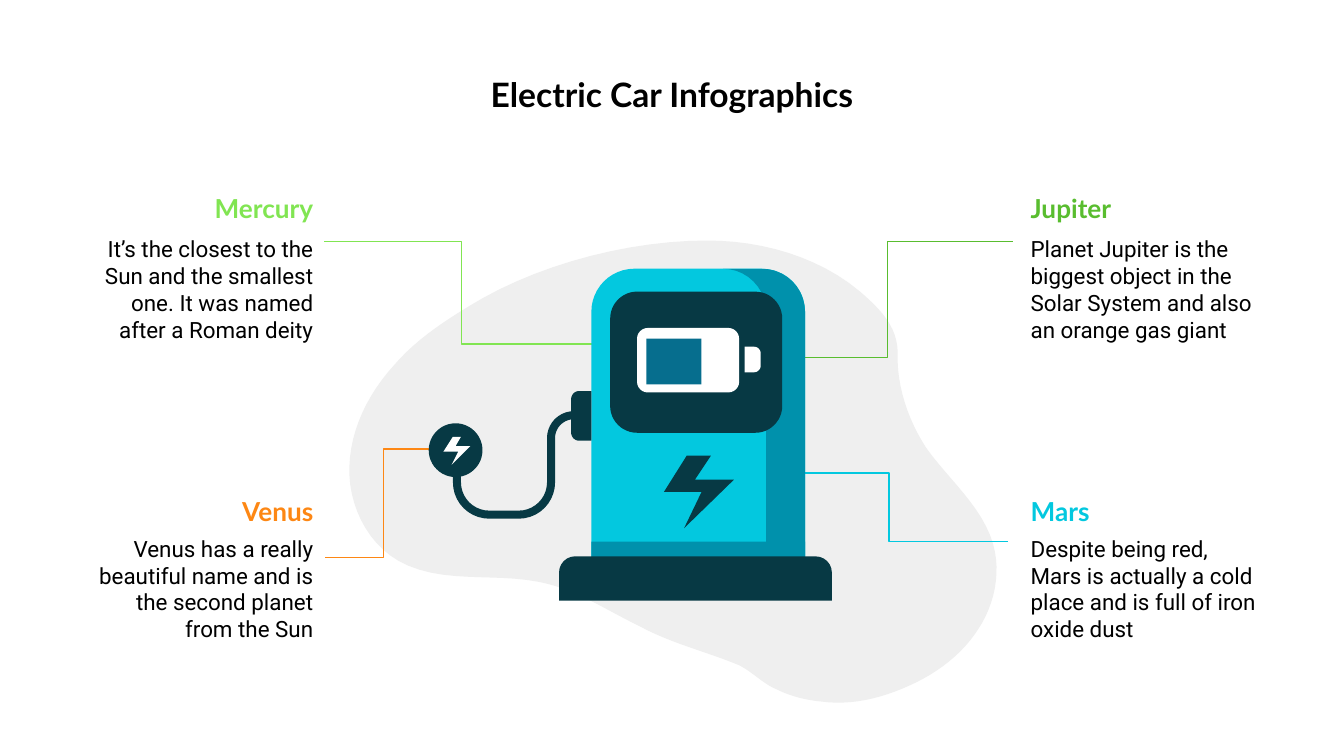
import math
from dataclasses import dataclass

from lxml import etree
from pptx import Presentation
from pptx import util as u
from pptx.dml.color import RGBColor
from pptx.enum import shapes, text
from pptx.oxml.ns import qn


@dataclass(frozen=True)
class Theme:
    heading_font: str = "Lato"
    body_font: str = "Roboto"
    title_size: int = 18
    heading_size: int = 14
    body_size: int = 12
    ink: str = "000000"
    white: str = "FFFFFF"
    backdrop: str = "EFEFEF"
    navy: str = "073944"
    cyan: str = "03C8DF"
    teal: str = "0091AC"
    charge: str = "066E8E"
    lime: str = "81E552"
    green: str = "59BD2F"
    orange: str = "FD8714"


def arc(cx, cy, radius, start, end, steps=10):
    """Points along a circle; degrees run clockwise from the right."""
    angles = [math.radians(start + (end - start) * i / steps) for i in range(steps + 1)]
    return [(cx + radius * math.cos(a), cy + radius * math.sin(a)) for a in angles]


def bezier_path(start, curves, steps=12):
    """Points along joined cubic curves, each given as two controls and an end."""
    points = [start]
    for control_1, control_2, end in curves:
        anchors = (points[-1], control_1, control_2, end)
        for i in range(1, steps + 1):
            t = i / steps
            weights = ((1 - t) ** 3, 3 * t * (1 - t) ** 2, 3 * t * t * (1 - t), t ** 3)
            points.append(tuple(sum(w * a[axis] for w, a in zip(weights, anchors))
                                for axis in (0, 1)))
    return points


class SlideBuilder:
    def __init__(self, slide, theme):
        self.slide = slide
        self.theme = theme

    def _write(self, frame, wording, font, size, color, align, anchor, bold):
        frame.word_wrap = True
        frame.auto_size = text.MSO_AUTO_SIZE.NONE
        frame.vertical_anchor = anchor
        frame.margin_left = frame.margin_right = u.Inches(0.1)
        frame.margin_top = frame.margin_bottom = u.Inches(0.1)
        paragraph = frame.paragraphs[0]
        paragraph.alignment = align
        run = paragraph.add_run()
        run.text = wording
        run.font.name = font
        run.font.size = u.Pt(size)
        run.font.bold = bold
        run.font.color.rgb = RGBColor.from_string(color)

    def _paint(self, shape, color):
        shape.shadow.inherit = False
        shape.fill.solid()
        shape.fill.fore_color.rgb = RGBColor.from_string(color)
        shape.line.fill.background()

    def title(self, wording, *box):
        title = self.slide.shapes.title
        title.left, title.top, title.width, title.height = map(u.Inches, box)
        self._write(title.text_frame, wording, self.theme.heading_font,
                    self.theme.title_size, self.theme.ink,
                    text.PP_ALIGN.CENTER, text.MSO_ANCHOR.TOP, True)

    def heading(self, wording, color, align, *box):
        frame = self.slide.shapes.add_textbox(*map(u.Inches, box)).text_frame
        self._write(frame, wording, self.theme.heading_font, self.theme.heading_size,
                    color, align, text.MSO_ANCHOR.MIDDLE, True)

    def body(self, wording, align, *box):
        frame = self.slide.shapes.add_textbox(*map(u.Inches, box)).text_frame
        self._write(frame, wording, self.theme.body_font, self.theme.body_size,
                    self.theme.ink, align, text.MSO_ANCHOR.TOP, False)

    def leader(self, color, start, end):
        line = self.slide.shapes.add_connector(
            shapes.MSO_CONNECTOR.ELBOW, *map(u.Inches, (*start, *end)))
        line.line.color.rgb = RGBColor.from_string(color)
        line.line.width = u.Pt(0.75)
        etree.SubElement(line._element.spPr, qn("a:effectLst"))

    def preset(self, kind, color, left, top, width, height, radius=None):
        shape = self.slide.shapes.add_shape(
            kind, *map(u.Inches, (left, top, width, height)))
        if radius is not None:
            shape.adjustments[0] = radius / min(width, height)
        self._paint(shape, color)

    def outline(self, color, points):
        start, *rest = [(u.Inches(x), u.Inches(y)) for x, y in points]
        builder = self.slide.shapes.build_freeform(*start)
        builder.add_line_segments(rest, close=True)
        self._paint(builder.convert_to_shape(), color)


BACKDROP_CURVES = [
    ((4.71, 1.79), (4.07, 1.95), (3.59, 2.22)),
    ((3.35, 2.36), (3.11, 2.51), (2.93, 2.72)),
    ((2.74, 2.93), (2.61, 3.19), (2.6, 3.47)),
    ((2.59, 3.74), (2.72, 4.03), (2.96, 4.17)),
    ((3.27, 4.35), (3.66, 4.26), (4.01, 4.33)),
    ((4.28, 4.38), (4.51, 4.54), (4.76, 4.66)),
    ((5, 4.79), (5.26, 4.85), (5.5, 4.95)),
    ((5.6, 5), (5.68, 5.09), (5.78, 5.13)),
    ((5.88, 5.18), (6, 5.21), (6.11, 5.22)),
    ((6.33, 5.25), (6.55, 5.2), (6.77, 5.1)),
    ((6.97, 5.01), (7.16, 4.87), (7.28, 4.68)),
    ((7.4, 4.5), (7.45, 4.26), (7.39, 4.05)),
    ((7.31, 3.77), (7.06, 3.57), (6.89, 3.33)),
    ((6.76, 3.13), (6.67, 2.87), (6.68, 2.63)),
    ((6.68, 2.43), (6.55, 2.3), (6.4, 2.17)),
    ((6.09, 1.91), (5.67, 1.79), (5.26, 1.79)),
]


def draw_planets(builder):
    theme = builder.theme
    left, right = (0.54, text.PP_ALIGN.RIGHT), (7.57, text.PP_ALIGN.LEFT)
    upper, lower = (1.43, 1.65), (3.68, 3.88)
    planets = [
        ("Mars", "Despite being red, Mars is actually a cold place and is full of "
         "iron oxide dust", theme.cyan, right, lower, (5.73, 3.52), (7.5, 4.03)),
        ("Jupiter", "Planet Jupiter is the biggest object in the Solar System and "
         "also an orange gas giant", theme.green, right, upper, (5.67, 2.66), (7.54, 1.8)),
        ("Venus", "Venus has a really beautiful name and is the second planet from "
         "the Sun", theme.orange, left, lower, (3.29, 3.34), (2.42, 4.15)),
        ("Mercury", "It’s the closest to the Sun and the smallest one. It was named "
         "after a Roman deity", theme.lime, left, upper, (4.46, 2.56), (2.41, 1.8)),
    ]
    for name, fact, color, (x, align), (name_y, fact_y), start, end in planets:
        builder.leader(color, start, end)
        builder.body(fact, align, x, fact_y, 1.89, 0.96)
        builder.heading(name, color, align, x, name_y, 1.89, 0.24)


def draw_charger(builder):
    theme, kinds = builder.theme, shapes.MSO_SHAPE
    # Plug
    builder.preset(kinds.OVAL, theme.navy, 3.19, 3.15, 0.4, 0.4)
    builder.outline(theme.white, [(3.37, 3.25), (3.3, 3.36), (3.41, 3.36), (3.36, 3.46),
                                  (3.5, 3.32), (3.39, 3.32), (3.43, 3.25)])
    # Pump body, its shaded side and its foot
    builder.preset(kinds.ROUND_2_SAME_RECTANGLE, theme.cyan, 4.4, 2, 1.59, 2.4, 0.32)
    builder.outline(theme.teal, arc(5.38, 2.32, 0.32, -90, 0) + [(5.7, 4.39), (5.99, 4.39)]
                    + arc(5.67, 2.32, 0.32, 0, -90))
    builder.preset(kinds.RECTANGLE, theme.teal, 4.4, 4.03, 1.59, 0.34)
    builder.preset(kinds.ROUND_2_SAME_RECTANGLE, theme.navy, 4.16, 4.14, 2.03, 0.33, 0.12)
    # Screen and bolt
    builder.preset(kinds.ROUNDED_RECTANGLE, theme.navy, 4.54, 2.17, 1.28, 1.05, 0.2)
    builder.outline(theme.navy, [(5.11, 3.39), (4.94, 3.66), (5.22, 3.66), (5.09, 3.93),
                                 (5.46, 3.57), (5.17, 3.57), (5.29, 3.39)])
    # Battery
    builder.preset(kinds.ROUNDED_RECTANGLE, theme.white, 4.74, 2.44, 0.76, 0.48, 0.08)
    builder.preset(kinds.RECTANGLE, theme.charge, 4.81, 2.52, 0.41, 0.34)
    builder.outline(theme.white, [(5.54, 2.58)] + arc(5.61, 2.63, 0.05, -90, 0)
                    + arc(5.61, 2.72, 0.05, 0, 90) + [(5.54, 2.77)])
    # Socket and cable
    builder.outline(theme.navy, [(4.4, 2.91)] + arc(4.31, 2.97, 0.06, -90, -180)
                    + arc(4.31, 3.22, 0.06, 180, 90) + [(4.4, 3.28)])
    builder.outline(theme.navy, [(4.29, 3.06)] + arc(4.27, 3.26, 0.2, 270, 180)
                    + arc(3.86, 3.59, 0.21, 0, 90) + arc(3.64, 3.59, 0.21, 90, 180)
                    + [(3.43, 3.49), (3.37, 3.49)]
                    + arc(3.64, 3.59, 0.27, 180, 90) + arc(3.86, 3.59, 0.27, 90, 0)
                    + arc(4.27, 3.26, 0.14, 180, 270) + [(4.29, 3.12)])


def main():
    deck = Presentation()
    deck.slide_width, deck.slide_height = u.Inches(10), u.Inches(10 * 9 / 16)
    builder = SlideBuilder(deck.slides.add_slide(deck.slide_layouts[5]), Theme())
    builder.outline(builder.theme.backdrop, bezier_path((5.26, 1.79), BACKDROP_CURVES))
    builder.title("Electric Car Infographics", 0.5, 0.45, 9, 0.53)
    draw_planets(builder)
    draw_charger(builder)
    deck.save("out.pptx")


if __name__ == "__main__":
    main()
